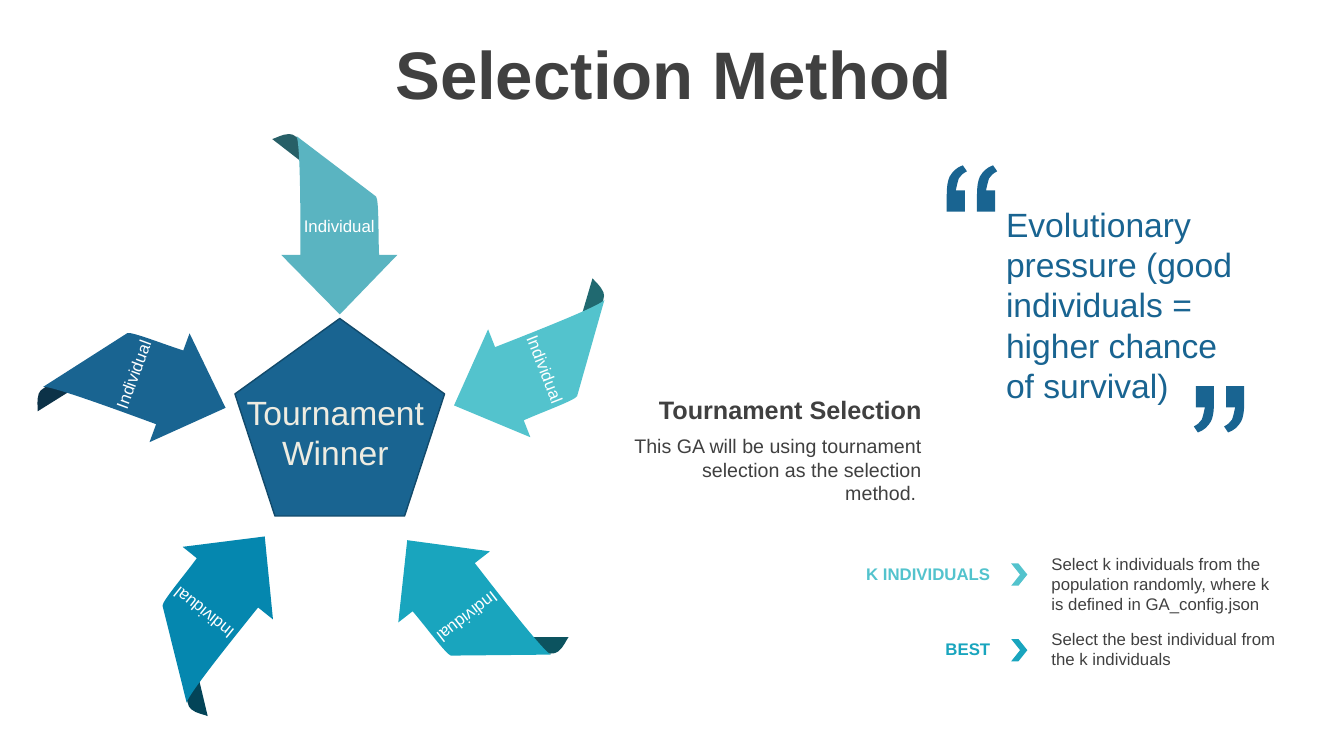
from dataclasses import dataclass

from lxml import etree
from pptx import Presentation
from pptx.dml.color import RGBColor
from pptx.enum.shapes import MSO_SHAPE
from pptx.enum.text import MSO_ANCHOR, PP_ALIGN
from pptx.oxml.ns import qn
from pptx.util import Emu, Pt

PX = 9144  # EMU in one px, 100 px to the inch
PENTAGON, CHEVRON = MSO_SHAPE.REGULAR_PENTAGON, MSO_SHAPE.CHEVRON
TOP, MIDDLE = MSO_ANCHOR.TOP, MSO_ANCHOR.MIDDLE
LEFT, CENTER, RIGHT = PP_ALIGN.LEFT, PP_ALIGN.CENTER, PP_ALIGN.RIGHT


@dataclass(frozen=True)
class Theme:
    font: str = "Arial"
    ink: str = "404040"
    white: str = "FFFFFF"
    cream: str = "EEECE1"
    navy: str = "196491"
    navy_edge: str = "124A6B"
    aqua: str = "53C3CD"
    teal: str = "19A5BE"
    title: int = 48
    quote: int = 24
    heading: int = 18
    body: int = 14
    small: int = 12


THEME = Theme()

# Outlines from 0, 0: two numbers are a corner, six are a curve
ARROW_BODY = [(15, 0), (94, 60), (97, 64, 96, 98, 97, 118), (115, 118),
              (58, 177), (0, 118), (19, 118), (19, 79, 19, 7, 15, 0)]
ARROW_FOLD = [(24, 3), (22, 1, 19, 0, 17, 0), (10, 0, 4, 4, 0, 5),
              (80, 67), (101, 62)]
QUOTE_MARK = [(16, 0), (20, 6), (16, 8, 14, 10, 12, 13),
              (11, 16, 10, 20, 9, 25), (18, 25), (18, 46), (0, 46), (0, 30),
              (0, 21, 1, 15, 3, 11), (6, 6, 10, 2, 16, 0)]
QUOTE_GAP = 30

# Body left and top, fold left and top, rotation, body and fold colours
ARROWS = [
    (279, 135, 270, 133, 0, "5AB4C1", "275F67"),
    (475, 281, 529, 300, 68.6, THEME.aqua, "206970"),
    (401, 517, 456, 607, 142.2, THEME.teal, "0C535F"),
    (150, 513, 134, 623, 218.8, "0587AF", "034458"),
    (83, 286, 31, 337, 290.2, THEME.navy, "0C3248"),
]

STEPS = [
    ("K INDIVIDUALS", THEME.aqua, "Select k individuals from the population "
     "randomly, where k is defined in GA_config.json"),
    ("BEST", THEME.teal, "Select the best individual from the k individuals"),
]
STEP_PITCH = 75


def px(n):
    return Emu(n * PX)


def write(tf, text, size=THEME.small, color=THEME.ink, bold=False, align=LEFT,
          anchor=TOP, insets=(10, 5, 10, 5), spacing=None):
    tf.word_wrap = True
    tf.vertical_anchor = anchor
    (tf.margin_left, tf.margin_top,
     tf.margin_right, tf.margin_bottom) = map(px, insets)
    p = tf.paragraphs[0]
    p.alignment = align
    if spacing:
        p.line_spacing = spacing
    r = p.add_run()
    r.text = text
    r.font.name, r.font.size, r.font.bold = THEME.font, Pt(size), bold
    r.font.color.rgb = RGBColor.from_string(color)


def add_text(s, box, text, **style):
    write(s.shapes.add_textbox(*map(px, box)).text_frame, text, **style)


def paint(sp, fill, line=None):
    sp.shadow.inherit = False
    sp.fill.solid()
    sp.fill.fore_color.rgb = RGBColor.from_string(fill)
    if line:
        sp.line.color.rgb = RGBColor.from_string(line)
        sp.line.width = Pt(1)
    else:
        sp.line.fill.background()


def add_preset(s, kind, box, fill, line=None):
    sp = s.shapes.add_shape(kind, *map(px, box))
    paint(sp, fill, line)
    return sp


def shift(outline, dx):
    return [tuple(n if i % 2 else n + dx for i, n in enumerate(node))
            for node in outline]


def bend(sp, nodes):
    """Turn the straight segments of curved nodes into Bezier curves."""
    segments = list(sp.element.iter(qn("a:lnTo")))
    for segment, node in zip(segments, nodes):
        if len(node) == 6:
            curve = etree.Element(qn("a:cubicBezTo"))
            for x, y in zip(node[::2], node[1::2]):
                etree.SubElement(curve, qn("a:pt"), x=str(x), y=str(y))
            segment.getparent().replace(segment, curve)


def add_outline(s, left, top, contours, fill, rotation=0):
    builder = s.shapes.build_freeform(*contours[0][0], scale=PX)
    for i, contour in enumerate(contours):
        if i:
            builder.move_to(*contour[0])
        builder.add_line_segments([node[-2:] for node in contour[1:]])
    sp = builder.convert_to_shape(px(left), px(top))
    bend(sp, [node for contour in contours for node in contour[1:]])
    sp.rotation = rotation
    paint(sp, fill)
    return sp


def add_arrow(s, left, top, fold_left, fold_top, rotation, fill, fold_fill):
    add_outline(s, fold_left, fold_top, [ARROW_FOLD], fold_fill, rotation)
    sp = add_outline(s, left, top, [ARROW_BODY], fill, rotation)
    # Labels of the turned arrows sit nearer to the tail
    write(sp.text_frame, "Individual", color=THEME.white, align=CENTER,
          anchor=MIDDLE, insets=(10, 6, 10, 24 if rotation else 5))


def add_quote_marks(s, left, top, rotation=0):
    marks = [shift(QUOTE_MARK, dx) for dx in (0, QUOTE_GAP)]
    add_outline(s, left, top, marks, THEME.navy, rotation)


def add_step(s, dy, label, color, description):
    add_text(s, (847, 554 + dy, 145, 30), label, color=color, bold=True,
             align=RIGHT)
    add_text(s, (1033, 544 + dy, 252, 71), description)
    sp = add_preset(s, CHEVRON, (1003, 559 + dy, 16, 22), color)
    sp.adjustments[0] = 0.55


def main():
    prs = Presentation()
    prs.slide_width, prs.slide_height = px(1333), px(750)
    s = prs.slides.add_slide(prs.slide_layouts[6])

    # Title
    add_text(s, (35, 38, 1266, 79), "Selection Method", size=THEME.title,
             bold=True, align=CENTER, anchor=MIDDLE, spacing=0.9)

    # Individuals pointing at the winner
    add_preset(s, PENTAGON, (233, 316, 208, 196), THEME.navy, THEME.navy_edge)
    for arrow in ARROWS:
        add_arrow(s, *arrow)
    add_text(s, (233, 384, 199, 91), "Tournament Winner", size=THEME.quote,
             color=THEME.cream, align=CENTER)

    # Method description
    add_text(s, (627, 371, 297, 71), "Tournament Selection",
             size=THEME.heading, bold=True, align=RIGHT, anchor=MIDDLE,
             insets=(0, 5, 10, 5))
    add_text(s, (627, 426, 297, 57), "This GA will be using tournament "
             "selection as the selection method. ", size=THEME.body,
             align=RIGHT, insets=(0, 5, 10, 5))

    # Steps
    for i, step in enumerate(STEPS):
        add_step(s, i * STEP_PITCH, *step)

    # Quote
    add_quote_marks(s, 939, 164)
    add_quote_marks(s, 1184, 383, rotation=180)
    add_text(s, (988, 196, 260, 212), "Evolutionary pressure (good "
             "individuals = higher chance of survival)", size=THEME.quote,
             color=THEME.navy, anchor=MIDDLE)

    prs.save("out.pptx")


if __name__ == "__main__":
    main()
